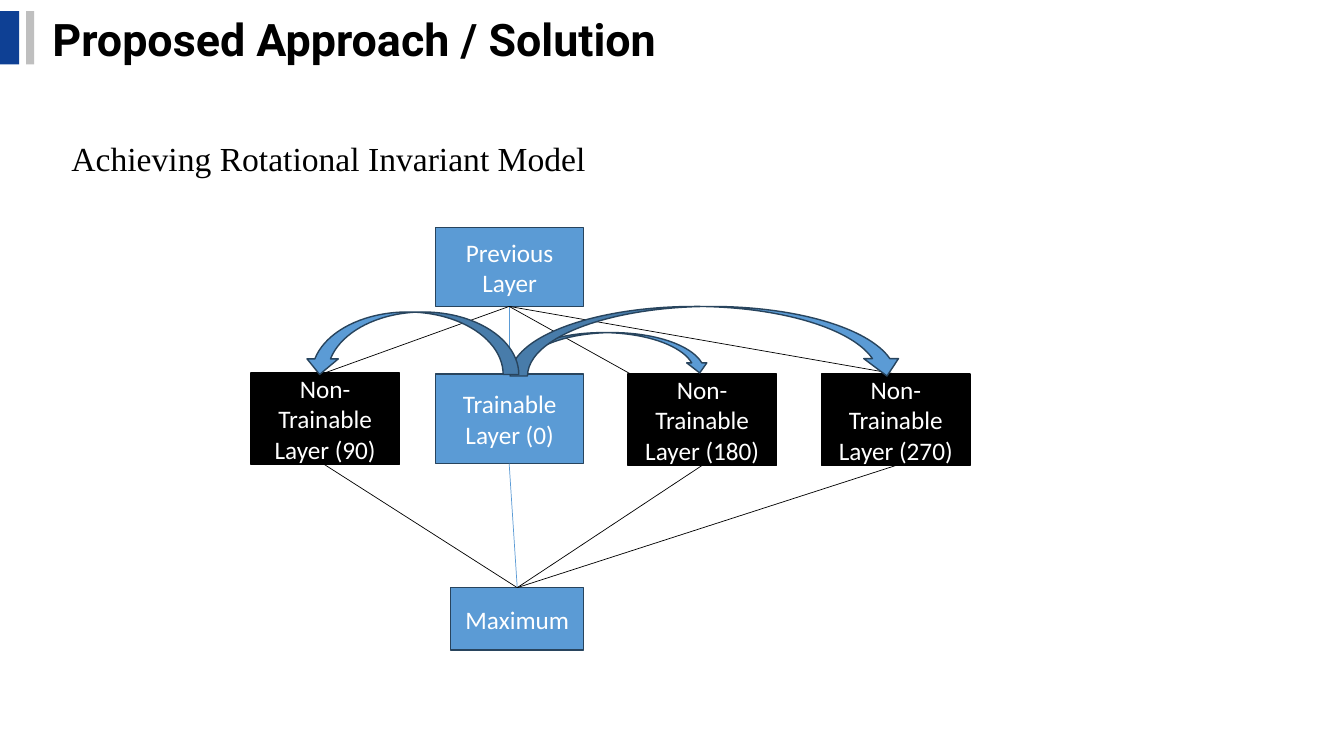
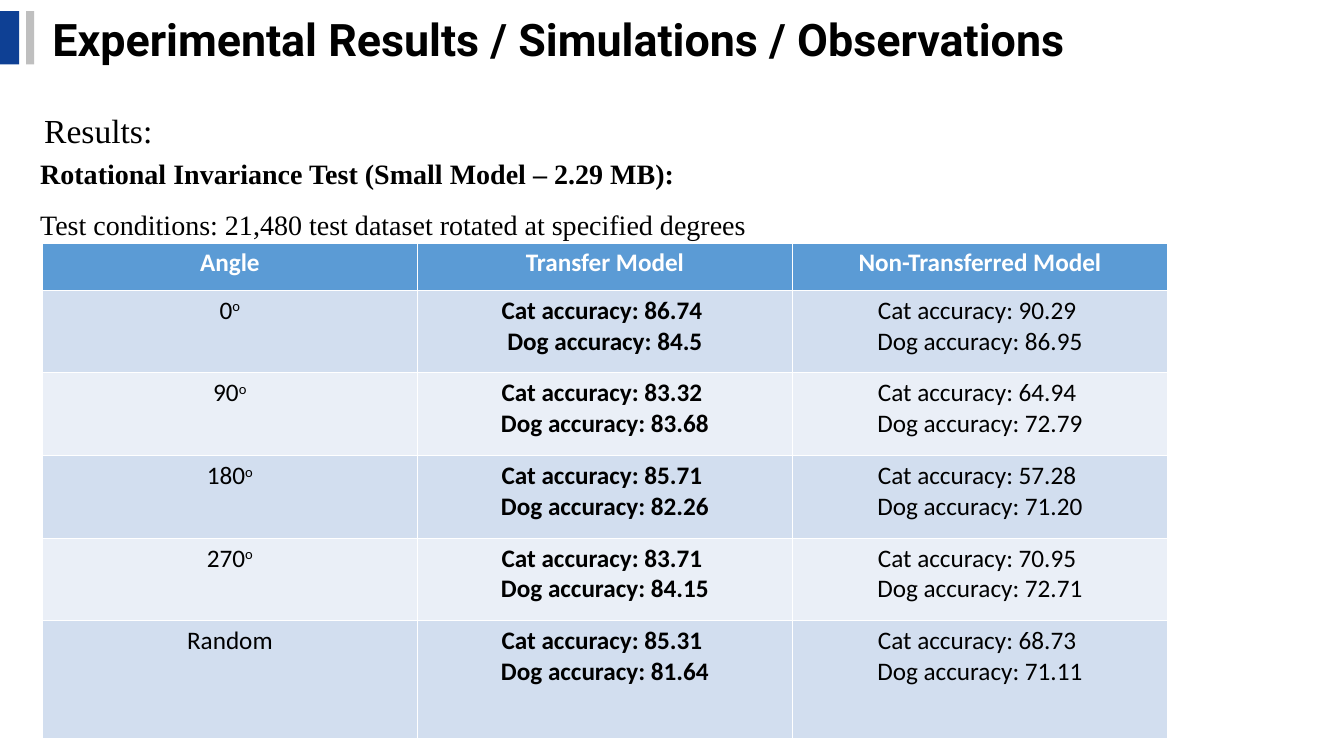
"""Build two slides: a rotation-invariant model diagram and its test results."""
from pptx import Presentation
from pptx.dml.color import RGBColor
from pptx.enum.shapes import MSO_CONNECTOR, MSO_SHAPE
from pptx.enum.text import MSO_ANCHOR, MSO_AUTO_SIZE, PP_ALIGN
from pptx.oxml.ns import qn
from pptx.util import Pt
from lxml.etree import SubElement

PX = 9144
COLORS = {
    "navy": "0E4094", "gray": "BFBFBF", "blue": "5B9BD5", "edge": "28445D",
    "black": "000000", "white": "FFFFFF", "band_dark": "D2DEEF", "band_light": "EAEFF7",
}
TITLE_FONT, BODY_FONT, LABEL_FONT = "Roboto", "Times New Roman", "Calibri"
TITLES = ["Proposed Approach / Solution", "Experimental Results / Simulations / Observations"]
TITLE_BOX = (42, 6, 1028, 64)
BARS = [((0, 11, 19, 53), "navy"), ((26, 11, 8, 53), "gray")]

SUBTITLE = ("Achieving Rotational Invariant Model", 24, False)
PREVIOUS = ("Previous Layer", (432, 226, 147, 78), "blue")
MAXIMUM = ("Maximum", (447, 583, 132, 62), "blue")
LAYERS = [
    ("Non-Trainable Layer (90)", (249, 370, 147, 91), "black"),
    ("Trainable Layer (0)", (432, 371, 147, 89), "blue"),
    ("Non-Trainable Layer (180)", (623, 371, 147, 91), "black"),
    ("Non-Trainable Layer (270)", (815, 371, 147, 91), "black"),
]
CORNER_ENDS = {"Non-Trainable Layer (180)": (629, 373)}
ARROWS = [
    (MSO_SHAPE.CURVED_DOWN_ARROW, (506, 330, 198, 40), 0),
    (MSO_SHAPE.CURVED_DOWN_ARROW, (506, 304, 391, 69), 0),
    (MSO_SHAPE.CURVED_RIGHT_ARROW, (377, 234, 62, 213), 90),
]

RESULTS = [("Results:", 24, False)]
TEST = [
    ("Rotational Invariance Test (Small Model – 2.29 MB):", 20, True),
    ("Test conditions: 21,480 test dataset rotated at specified degrees", 20, False),
]
HEADERS = ["Angle", "Transfer Model", "Non-Transferred Model"]
ACCURACY = [
    ("0", ("86.74", "84.5"), ("90.29", "86.95")),
    ("90", ("83.32", "83.68"), ("64.94", "72.79")),
    ("180", ("85.71", "82.26"), ("57.28", "71.20")),
    ("270", ("83.71", "84.15"), ("70.95", "72.71")),
    ("Random", ("85.31", "81.64"), ("68.73", "71.11")),
]
TABLE_BOX = (42, 241, 1116, 492)
ROW_HEIGHTS = [47, 82, 82, 82, 82, 117]


def emu(box):
    return [v * PX for v in box]


def rgb(name):
    return RGBColor.from_string(COLORS[name])


def style(p, font, size, color="black", bold=False, align=PP_ALIGN.LEFT):
    p.alignment = align
    p.font.name, p.font.size, p.font.bold = font, Pt(size), bold
    p.font.color.rgb = rgb(color)


def add_shape(s, kind, box, fill, line=None):
    sp = s.shapes.add_shape(kind, *emu(box))
    sp.shadow.inherit = False
    sp.fill.solid()
    sp.fill.fore_color.rgb = rgb(fill)
    if line:
        sp.line.color.rgb = rgb(line)
        sp.line.width = Pt(1)
    else:
        sp.line.fill.background()
    return sp


def add_node(s, text, box, fill):
    sp = add_shape(s, MSO_SHAPE.RECTANGLE, box, fill, "edge" if fill == "blue" else fill)
    tf = sp.text_frame
    tf.word_wrap, tf.vertical_anchor = True, MSO_ANCHOR.MIDDLE
    tf.text = text
    style(tf.paragraphs[0], LABEL_FONT, 18, "white", align=PP_ALIGN.CENTER)


def add_line(s, start, end, color):
    cx = s.shapes.add_connector(MSO_CONNECTOR.STRAIGHT, *emu(start + end))
    cx.line.color.rgb = rgb(color)
    cx.line.width = Pt(0.5)
    SubElement(cx._element.spPr, qn("a:effectLst"))


def add_text(s, box, lines, spacing=None, wrap=True):
    tf = s.shapes.add_textbox(*emu(box)).text_frame
    tf.word_wrap = wrap
    for i, (text, size, bold) in enumerate(lines):
        p = tf.add_paragraph() if i else tf.paragraphs[0]
        p.text = text
        p.line_spacing = spacing
        style(p, BODY_FONT, size, bold=bold)


def add_slide(prs, title):
    s = prs.slides.add_slide(prs.slide_layouts[5])
    for box, color in BARS:
        add_shape(s, MSO_SHAPE.RECTANGLE, box, color)
    sp = s.shapes.title
    sp.left, sp.top, sp.width, sp.height = emu(TITLE_BOX)
    tf = sp.text_frame
    tf.text = title
    tf.word_wrap, tf.auto_size = True, MSO_AUTO_SIZE.NONE
    tf.vertical_anchor = MSO_ANCHOR.MIDDLE
    style(tf.paragraphs[0], TITLE_FONT, 32, bold=True)
    return s


def top_center(box):
    x, y, w, _ = box
    return x + w // 2, y


def bottom_center(box):
    x, y, w, h = box
    return x + w // 2, y + h


def add_diagram(s):
    for node in [PREVIOUS, *LAYERS, MAXIMUM]:
        add_node(s, *node)
    for text, box, color in LAYERS:
        add_line(s, bottom_center(PREVIOUS[1]), CORNER_ENDS.get(text, top_center(box)), color)
        add_line(s, top_center(MAXIMUM[1]), bottom_center(box), color)
    for kind, box, angle in ARROWS:
        add_shape(s, kind, box, "blue", "edge").rotation = angle


def fill_cell(cell, lines, fill, color="black", bold=False):
    cell.fill.solid()
    cell.fill.fore_color.rgb = rgb(fill)
    cell.text = "\n".join(lines)
    for p in cell.text_frame.paragraphs:
        style(p, LABEL_FONT, 18, color, bold, PP_ALIGN.CENTER)


def add_results_table(s):
    table = s.shapes.add_table(len(ROW_HEIGHTS), len(HEADERS), *emu(TABLE_BOX)).table
    for row, height in zip(table.rows, ROW_HEIGHTS):
        row.height = height * PX
    for c, header in enumerate(HEADERS):
        fill_cell(table.cell(0, c), [header], "blue", "white", True)
    for i, (angle, *models) in enumerate(ACCURACY, 1):
        band = "band_dark" if i % 2 else "band_light"
        fill_cell(table.cell(i, 0), [angle], band)
        if angle.isdigit():
            r = table.cell(i, 0).text_frame.paragraphs[0].add_run()
            r.text = "o"
            r._r.get_or_add_rPr().set("baseline", "30000")
        for c, (cat, dog) in enumerate(models, 1):
            lines = [f"Cat accuracy: {cat} ", f"Dog accuracy: {dog}"]
            fill_cell(table.cell(i, c), lines, band, bold=c == 1)


def main():
    prs = Presentation()
    prs.slide_width, prs.slide_height = emu((1333, 750))
    approach, results = [add_slide(prs, title) for title in TITLES]
    add_text(approach, (61, 132, 551, 50), [SUBTITLE], wrap=False)
    add_diagram(approach)
    add_text(results, (34, 84, 1217, 63), RESULTS, 1.5)
    add_text(results, (30, 134, 1217, 156), TEST, 1.5)
    add_results_table(results)
    prs.save("out.pptx")


if __name__ == "__main__":
    main()
